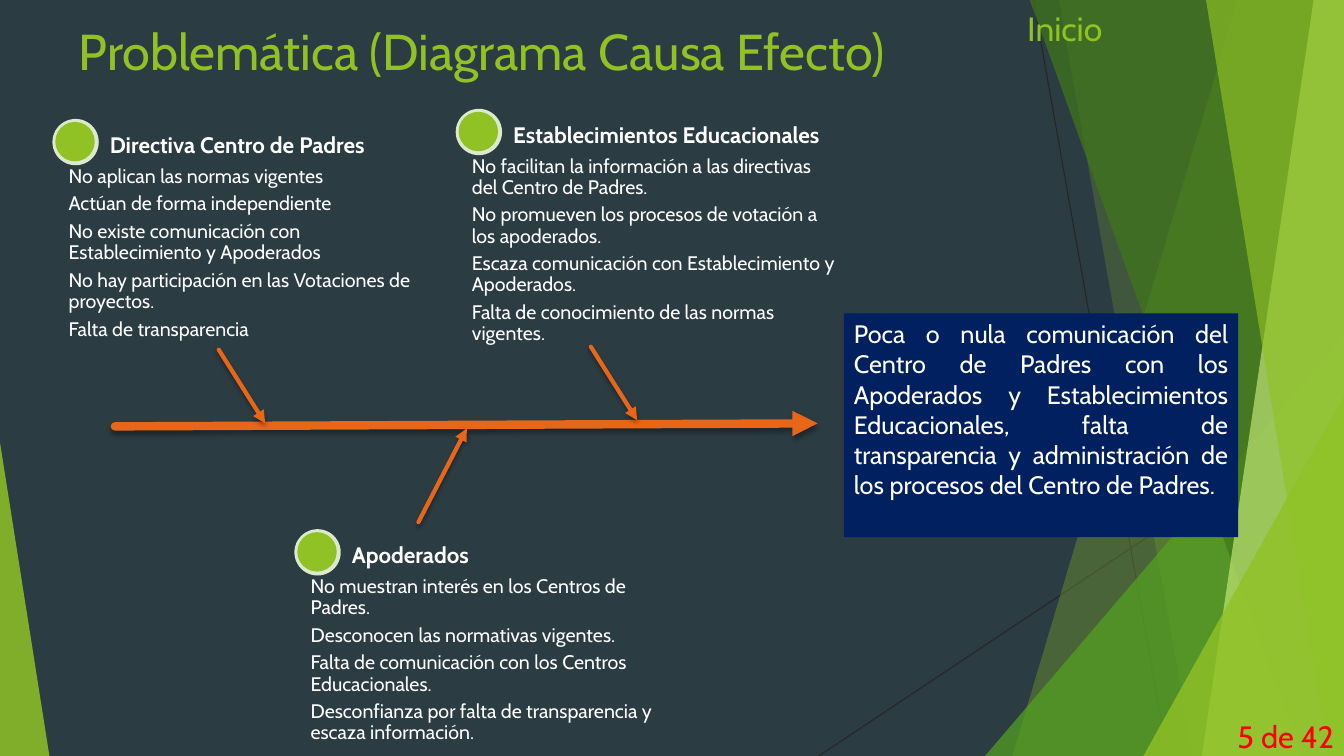
from lxml.etree import SubElement
from pptx import Presentation
from pptx.dml.color import RGBColor
from pptx.enum.shapes import MSO_CONNECTOR, MSO_SHAPE
from pptx.enum.text import MSO_ANCHOR, MSO_AUTO_SIZE, PP_ALIGN
from pptx.oxml.ns import qn
from pptx.util import Pt

PX = 9144
WIDTH, HEIGHT = 1333, 750
GREEN, WHITE, ORANGE, NAVY = "90C226", "FFFFFF", "E76618", "002060"

VEILS = [
    (1228, 1004, "90C226", 30),
    (1050, 1183, "90C226", 20),
    (1021, 1291, "3F7819", 70),
    (1303, 1192, "C0E474", 70),
    (1196, 1318, "90C226", 65),
]
CAUSES = [
    (52, 118, 290, "Directiva Centro de Padres", [
        "No aplican las normas vigentes",
        "Actúan de forma independiente",
        "No existe comunicación con Establecimiento y Apoderados",
        "No hay participación en las Votaciones de proyectos.",
        "Falta de transparencia",
    ]),
    (452, 108, 342, "Establecimientos Educacionales", [
        "No facilitan la información a las directivas del Centro de Padres.",
        "No promueven los procesos de votación a los apoderados.",
        "Escaza comunicación con Establecimiento y Apoderados.",
        "Falta de conocimiento de las normas vigentes.",
    ]),
    (292, 525, 342, "Apoderados", [
        "No muestran interés en los Centros de Padres.",
        "Desconocen las normativas vigentes.",
        "Falta de comunicación con los Centros Educacionales.",
        "Desconfianza por falta de transparencia y escaza información.",
    ]),
]
EFFECT = (
    "Poca o nula comunicación del Centro de Padres con los Apoderados y "
    "Establecimientos Educacionales, falta de transparencia y administración "
    "de los procesos del Centro de Padres."
)
BRANCHES = [(217, 347, 263, 420), (586, 344, 632, 417), (415, 518, 463, 425)]


def color(value):
    """Turn a hex string into a colour."""
    return RGBColor.from_string(value)


def assign(target, values):
    """Set every attribute in the dict on the target."""
    for name, value in values.items():
        setattr(target, name, value)


class Board:
    """Hold the style and the current slide, and draw its elements."""

    def __init__(self, slide, font="Cabin"):
        """Start drawing straight on the slide."""
        self.slide = slide
        self.font = font
        self.canvas = slide.shapes

    def group(self):
        """Send the next elements to a new group."""
        self.canvas = self.slide.shapes.add_group_shape().shapes

    def ungroup(self):
        """Send the next elements to the slide itself."""
        self.canvas = self.slide.shapes

    def paint(self, shape, fill, opacity=100, outline=None):
        """Give a shape its fill, opacity and outline."""
        shape.shadow.inherit = False
        shape.fill.solid()
        shape.fill.fore_color.rgb = color(fill)
        if opacity < 100:
            tint = shape.element.spPr.find(qn("a:solidFill"))[0]
            SubElement(tint, qn("a:alpha"), val=str(opacity * 1000))
        if outline:
            shape.line.color.rgb = color(outline)
            shape.line.width = Pt(1.5)
        else:
            shape.line.fill.background()

    def shape(self, kind, box, fill, opacity=100, outline=None, adjustments=()):
        """Add a preset shape."""
        shape = self.canvas.add_shape(kind, *(value * PX for value in box))
        for index, value in enumerate(adjustments):
            shape.adjustments[index] = value
        self.paint(shape, fill, opacity, outline)
        return shape

    def veil(self, top, bottom, fill, opacity):
        """Add a slanted panel reaching the right edge of the slide."""
        builder = self.canvas.build_freeform(top, -1, PX)
        builder.add_line_segments([(WIDTH, -1), (WIDTH, HEIGHT), (bottom, HEIGHT)])
        self.paint(builder.convert_to_shape(), fill, opacity)

    def line(self, ends, stroke, width):
        """Add a plain line without a shadow."""
        connector = self.canvas.add_connector(
            MSO_CONNECTOR.STRAIGHT, *(value * PX for value in ends))
        connector.line.color.rgb = color(stroke)
        connector.line.width = Pt(width)
        SubElement(connector.element.spPr, qn("a:effectLst"))
        return connector

    def arrow(self, ends, width):
        """Add an orange arrow with round ends and a soft shadow."""
        properties = self.line(ends, ORANGE, width).element.spPr
        stroke = properties.find(qn("a:ln"))
        stroke.set("cap", "rnd")
        SubElement(stroke, qn("a:tailEnd"), type="triangle")
        shadow = SubElement(
            properties.find(qn("a:effectLst")), qn("a:outerShdw"),
            blurRad="38100", dist="25400", dir="5400000", rotWithShape="0")
        tint = SubElement(shadow, qn("a:srgbClr"), val="000000")
        SubElement(tint, qn("a:alpha"), val="35000")

    def fill_text(self, shape, lines, size, ink=WHITE, bold=False,
                  frame_format=None, paragraph_format=None):
        """Fill a shape with formatted paragraphs."""
        frame = shape.text_frame
        assign(frame, {
            "word_wrap": True,
            "auto_size": MSO_AUTO_SIZE.NONE,
            "vertical_anchor": MSO_ANCHOR.TOP,
            **(frame_format or {}),
        })
        frame.text = "\n".join(lines)
        for paragraph in frame.paragraphs:
            assign(paragraph, {"alignment": PP_ALIGN.LEFT, **(paragraph_format or {})})
            assign(paragraph.runs[0].font,
                   {"name": self.font, "size": Pt(size), "bold": bold})
            paragraph.runs[0].font.color.rgb = color(ink)

    def text(self, box, lines, size, **style):
        """Add a text box."""
        shape = self.canvas.add_textbox(*(value * PX for value in box))
        self.fill_text(shape, lines, size, **style)

    def title(self, box, words):
        """Move and format the title placeholder, in front of the backdrop."""
        title = self.slide.shapes.title
        names = ("left", "top", "width", "height")
        assign(title, {name: value * PX for name, value in zip(names, box)})
        self.fill_text(title, [words], 36, ink=GREEN)
        title.element.getparent().append(title.element)

    def backdrop(self):
        """Add the green facets and thin lines behind the content."""
        self.group()
        for ends in [(1025, 0, 1158, 750), (1333, 403, 812, 750)]:
            self.line(ends, "262626", 0.75)
        triangle = MSO_SHAPE.ISOSCELES_TRIANGLE
        for veil in VEILS[:2]:
            self.veil(*veil)
        self.shape(triangle, (977, 333, 356, 417), "54A021", 72, adjustments=[1])
        for veil in VEILS[2:]:
            self.veil(*veil)
        self.shape(triangle, (1134, 393, 199, 357), GREEN, 80, adjustments=[1])
        self.shape(triangle, (0, 439, 49, 311), GREEN, 85, adjustments=[0])
        self.ungroup()

    def cause(self, left, top, width, heading, items):
        """Add a cause: round marker, heading and list."""
        self.group()
        self.shape(MSO_SHAPE.OVAL, (left, top, 46, 46), "DBE9CD")
        self.shape(MSO_SHAPE.CHORD, (left + 4, top + 4, 37, 37), GREEN,
                   outline=GREEN, adjustments=[162, 162])
        sides = ("left", "top", "right", "bottom")
        margins = {f"margin_{side}": 4 * PX for side in sides}
        spacing = {"line_spacing": 0.9, "space_after": Pt(4.6)}
        self.text((left + 12, top + 43, 369, 193), items, 14,
                  frame_format=margins, paragraph_format=spacing)
        self.text((left + 53, top - 3, width, 46), [heading], 16, bold=True,
                  frame_format={**margins, "vertical_anchor": MSO_ANCHOR.BOTTOM},
                  paragraph_format=spacing)
        self.ungroup()


def main():
    """Build the cause and effect slide."""
    presentation = Presentation()
    assign(presentation, {"slide_width": WIDTH * PX, "slide_height": HEIGHT * PX})
    slide = presentation.slides.add_slide(presentation.slide_layouts[5])
    slide.background.fill.solid()
    slide.background.fill.fore_color.rgb = color("2C3C43")

    board = Board(slide)
    board.backdrop()
    board.title((68, 15, 940, 91), "Problemática (Diagrama Causa Efecto)")
    for cause in CAUSES:
        board.cause(*cause)
    board.arrow((114, 423, 811, 420), 6)
    effect = board.shape(MSO_SHAPE.RECTANGLE, (837, 311, 391, 222), NAVY)
    board.fill_text(effect, [EFFECT], 18,
                    paragraph_format={"alignment": PP_ALIGN.JUSTIFY})
    for branch in BRANCHES:
        board.arrow(branch, 3)
    board.text((1139, 710, 194, 40), ["5 de 42"], 22, ink="FF0000",
               frame_format={"vertical_anchor": MSO_ANCHOR.MIDDLE},
               paragraph_format={"alignment": PP_ALIGN.RIGHT})
    board.text((1009, 3, 117, 50), ["Inicio"], 24, ink=GREEN)
    presentation.save("out.pptx")


if __name__ == "__main__":
    main()
